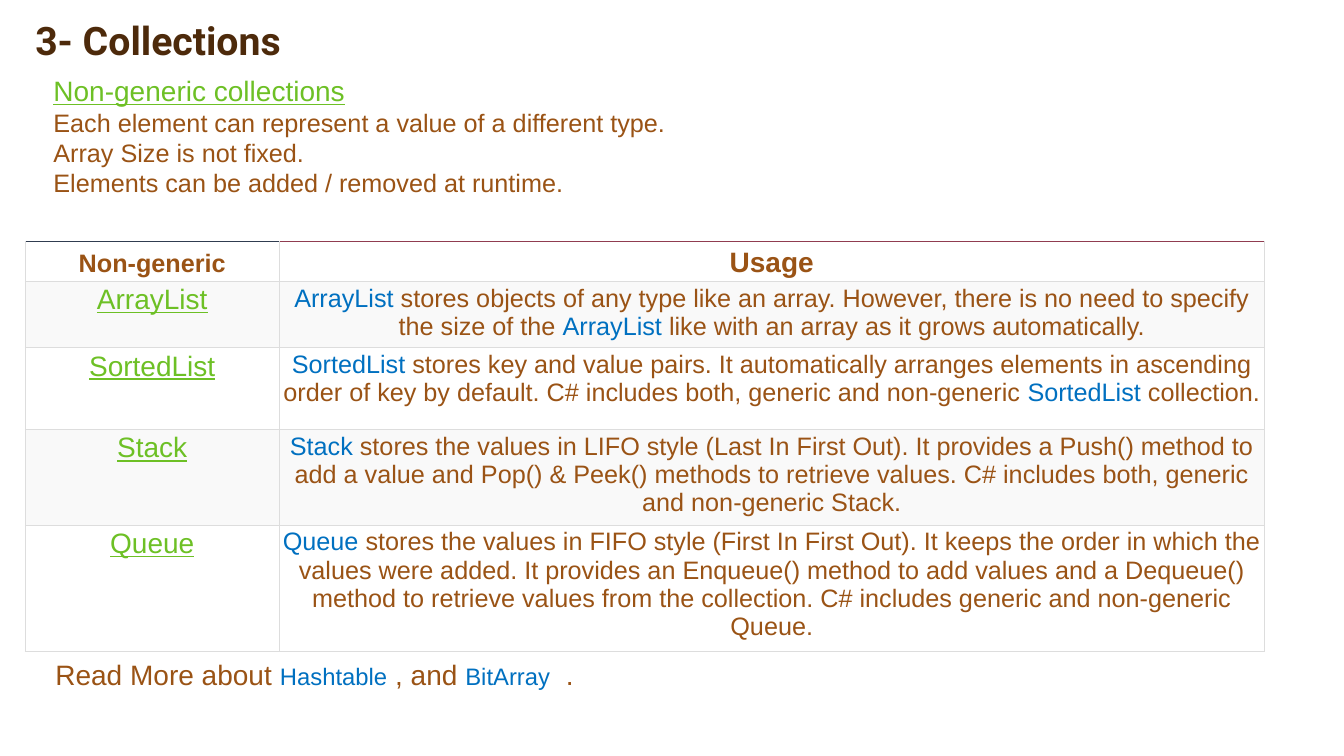
from lxml import etree
from pptx import Presentation
from pptx import util as u
from pptx.dml.color import RGBColor
from pptx.enum import text
from pptx.oxml.ns import qn

# Content: words between bars are highlighted as type names
TITLE = "3- Collections"
HEADING = "Non-generic collections"
FEATURES = [
    "Each element can represent a value of a different type.",
    "Array Size is not fixed.",
    "Elements can be added / removed at runtime.",
]
HEADERS = ("Non-generic", "Usage")
COLLECTIONS = [
    ("ArrayList", "|ArrayList| stores objects of any type like an array. However, there is no need "
     "to specify the size of the |ArrayList| like with an array as it grows automatically."),
    ("SortedList", "|SortedList| stores key and value pairs. It automatically arranges elements in "
     "ascending order of key by default. C# includes both, generic and non-generic |SortedList| collection."),
    ("Stack", "|Stack| stores the values in LIFO style (Last In First Out). It provides a Push() method "
     "to add a value and Pop() & Peek() methods to retrieve values. C# includes both, generic and "
     "non-generic Stack."),
    ("Queue", "|Queue| stores the values in FIFO style (First In First Out). It keeps the order in which "
     "the values were added. It provides an Enqueue() method to add values and a Dequeue() method to "
     "retrieve values from the collection. C# includes generic and non-generic Queue."),
]
READ_MORE = "Read More about |Hashtable| , and |BitArray|  ."

# Style and grid, in inches
DARK, BROWN, GREEN, BLUE = "4D2A0B", "9A5315", "6DC025", "0070C0"
BORDER, HEADER_TOPS = "DDDDDD", ("303C50", "903C50")
STRIPES = ("FFFFFF", "F9F9F9")
LEFT, TABLE_TOP = 0.25, 2.4
COLUMNS = (2.52, 9.77)
ROWS = (0.39, 0.66, 0.81, 0.95, 1.25)
CELL_MARGIN = u.Inches(0.03)


def color(hex_value):
    return RGBColor.from_string(hex_value)


def style(font, size, hex_value, bold=False, underline=False, name="Arial"):
    font.name, font.size = name, u.Pt(size)
    font.bold, font.underline = bold, underline
    font.color.rgb = color(hex_value)


def place(shape, left, top, width, height):
    shape.left, shape.top, shape.width, shape.height = map(u.Inches, (left, top, width, height))


def add_marked_text(paragraph, marked, size, name_size):
    for index, part in enumerate(marked.split("|")):
        if part:
            run = paragraph.add_run()
            run.text = part
            is_name = index % 2
            style(run.font, name_size if is_name else size, BLUE if is_name else BROWN)


def set_borders(cell, top):
    properties = cell._tc.get_or_add_tcPr()
    for index, (tag, hex_value) in enumerate(
            (("lnL", BORDER), ("lnR", BORDER), ("lnT", top), ("lnB", BORDER))):
        line = etree.Element(qn("a:" + tag), w=str(u.Pt(0.75)))
        fill = etree.SubElement(line, qn("a:solidFill"))
        etree.SubElement(fill, qn("a:srgbClr"), val=hex_value)
        properties.insert(index, line)


presentation = Presentation()
presentation.slide_width, presentation.slide_height = u.Inches(13.33), u.Inches(7.5)
slide = presentation.slides.add_slide(presentation.slide_layouts[1])

# Title
title = slide.shapes.title
place(title, LEFT, 0.1, 11, 0.58)
title.text_frame.text = TITLE
title.text_frame.vertical_anchor = text.MSO_ANCHOR.BOTTOM
title.text_frame.auto_size = text.MSO_AUTO_SIZE.NONE
paragraph = title.text_frame.paragraphs[0]
paragraph.alignment, paragraph.line_spacing = text.PP_ALIGN.LEFT, 0.9
style(paragraph.font, 28, DARK, bold=True, name="Roboto")

# Heading and feature list
body = slide.placeholders[1]
place(body, 0.43, 0.68, 11.19, 1.72)
body.text_frame.text = "\n".join([HEADING] + FEATURES)
body.text_frame.auto_size = text.MSO_AUTO_SIZE.NONE
for index, paragraph in enumerate(body.text_frame.paragraphs):
    is_heading = index == 0
    paragraph.space_before = u.Pt(0)
    style(paragraph.font, 20 if is_heading else 18, GREEN if is_heading else BROWN,
          underline=is_heading)
    properties = paragraph._p.get_or_add_pPr()
    properties.set("marL", "0")
    properties.set("indent", "0")
    bullet = etree.Element(qn("a:buNone"))
    properties.find(qn("a:spcBef")).addnext(bullet)

# Table of collections
frame = slide.shapes.add_table(len(ROWS), len(COLUMNS), u.Inches(LEFT), u.Inches(TABLE_TOP),
                               u.Inches(sum(COLUMNS)), u.Inches(sum(ROWS)))
table = frame.table
table.first_row = table.horz_banding = False
for column, width in zip(table.columns, COLUMNS):
    column.width = u.Inches(width)
for row_index, (height, contents) in enumerate(zip(ROWS, [HEADERS] + COLLECTIONS)):
    table.rows[row_index].height = u.Inches(height)
    is_header = row_index == 0
    for column_index, content in enumerate(contents):
        cell = table.cell(row_index, column_index)
        cell.margin_left = cell.margin_right = cell.margin_top = cell.margin_bottom = CELL_MARGIN
        cell.vertical_anchor = text.MSO_ANCHOR.BOTTOM if is_header else text.MSO_ANCHOR.TOP
        cell.fill.solid()
        cell.fill.fore_color.rgb = color(STRIPES[row_index % 2])
        set_borders(cell, HEADER_TOPS[column_index] if is_header else BORDER)
        paragraph = cell.text_frame.paragraphs[0]
        paragraph.alignment = text.PP_ALIGN.CENTER
        if column_index and not is_header:
            add_marked_text(paragraph, content, 18, 18)
            continue
        paragraph.text = content
        if is_header:
            style(paragraph.font, (18, 20)[column_index], BROWN, bold=True)
        else:
            style(paragraph.font, 20, GREEN, underline=True)

# Further reading
footer = slide.shapes.add_textbox(u.Inches(0.45), u.Inches(6.47), u.Inches(11.88), u.Inches(0.44))
footer.text_frame.word_wrap = True
add_marked_text(footer.text_frame.paragraphs[0], READ_MORE, 20, 17)

presentation.save("out.pptx")
